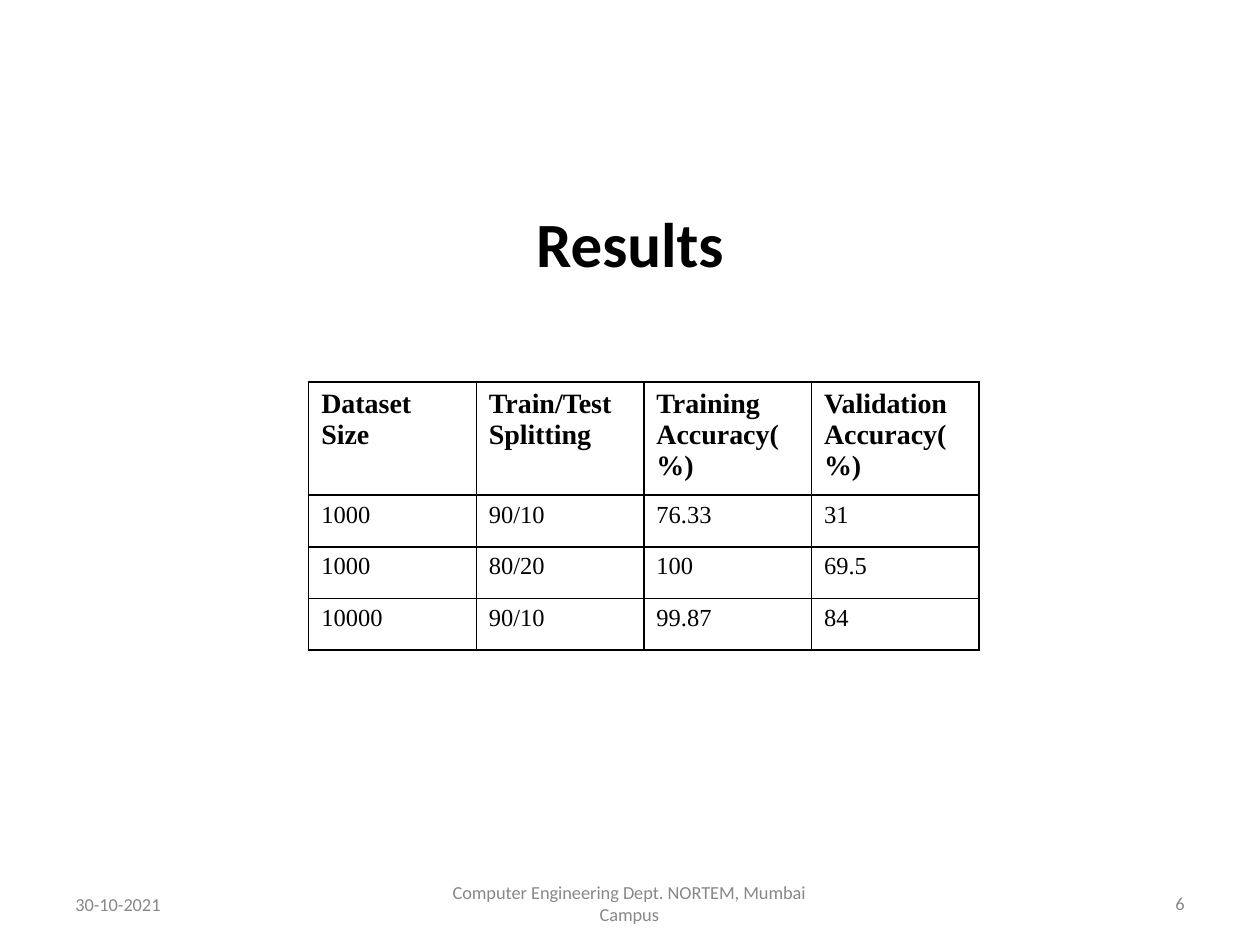
from dataclasses import dataclass

from lxml.etree import SubElement
from pptx import Presentation
from pptx.dml.color import RGBColor
from pptx.enum.text import MSO_ANCHOR as Anchor, PP_ALIGN as Align
from pptx.oxml.ns import qn
from pptx.util import Inches, Pt


@dataclass(frozen=True)
class Theme:
    """Colours, fonts and type sizes of the slide."""

    ink: str = "000000"
    muted: str = "888888"
    heading_font: str = "Calibri"
    table_font: str = "Times New Roman"
    title_size: float = 36
    header_size: float = 16
    cell_size: float = 14
    footer_size: float = 10.5
    border_width: float = 1


class SlideBuilder:
    """Adds styled elements to one slide."""

    def __init__(self, slide, theme):
        self.slide = slide
        self.theme = theme

    def set_text(self, text_frame, text, font, size, color, bold=False, align=Align.LEFT):
        """Set the text of a frame and format its runs."""
        text_frame.text = text
        for paragraph in text_frame.paragraphs:
            paragraph.alignment = align
            for run in paragraph.runs:
                run.font.name = font
                run.font.size = Pt(size)
                run.font.bold = bold
                run.font.color.rgb = RGBColor.from_string(color)

    def place_frame(self, text_frame, vertical_margin):
        """Give a text frame its margins, wrapping and middle anchor."""
        text_frame.word_wrap = True
        text_frame.vertical_anchor = Anchor.MIDDLE
        text_frame.margin_left = text_frame.margin_right = Inches(0.1)
        text_frame.margin_top = text_frame.margin_bottom = Inches(vertical_margin)

    def title(self, text, left, top, width, height):
        """Move and fill the title placeholder."""
        shape = self.slide.shapes.title
        shape.left, shape.top = Inches(left), Inches(top)
        shape.width, shape.height = Inches(width), Inches(height)
        self.place_frame(shape.text_frame, 0.1)
        self.set_text(shape.text_frame, text, self.theme.heading_font,
                      self.theme.title_size, self.theme.ink, True, Align.CENTER)

    def footer(self, text, left, top, width, align, vertical_margin=0.1):
        """Add one muted text box of the footer line."""
        shape = self.slide.shapes.add_textbox(
            Inches(left), Inches(top), Inches(width), Inches(0.4))
        self.place_frame(shape.text_frame, vertical_margin)
        self.set_text(shape.text_frame, text, self.theme.heading_font,
                      self.theme.footer_size, self.theme.muted, align=align)

    def border(self, cell):
        """Draw a solid line on all four sides of a cell."""
        properties = cell._tc.get_or_add_tcPr()
        for position, side in enumerate(("lnL", "lnR", "lnT", "lnB")):
            line = properties.makeelement(
                qn(f"a:{side}"), {"w": str(Pt(self.theme.border_width))})
            fill = SubElement(line, qn("a:solidFill"))
            SubElement(fill, qn("a:srgbClr"), val=self.theme.ink)
            properties.insert(position, line)

    def table(self, rows, left, top, column_width, row_heights):
        """Add a bordered table with a bold first row."""
        columns = len(rows[0])
        table = self.slide.shapes.add_table(
            len(rows), columns, Inches(left), Inches(top),
            Inches(column_width * columns), Inches(sum(row_heights))).table
        table.first_row = table.horz_banding = False
        for column in table.columns:
            column.width = Inches(column_width)
        for row_index, values in enumerate(rows):
            table.rows[row_index].height = Inches(row_heights[row_index])
            is_header = row_index == 0
            size = self.theme.header_size if is_header else self.theme.cell_size
            for column_index, value in enumerate(values):
                cell = table.cell(row_index, column_index)
                cell.fill.background()
                self.set_text(cell.text_frame, value, self.theme.table_font,
                              size, self.theme.ink, is_header)
                self.border(cell)


def main():
    """Build and save the results slide."""
    presentation = Presentation()
    presentation.slide_width, presentation.slide_height = Inches(10), Inches(7.5)
    slide = presentation.slides.add_slide(presentation.slide_layouts[5])
    builder = SlideBuilder(slide, Theme())

    builder.title("Results", 0.5, 1.42, 9, 1)
    builder.footer("30-10-2021", 0.5, 6.98, 2.33, Align.LEFT)
    builder.footer("Computer Engineering Dept. NORTEM, Mumbai Campus",
                   3.41, 6.97, 3.17, Align.CENTER)
    builder.footer("6", 7.17, 6.97, 2.33, Align.RIGHT, 0.05)

    results = [
        ("Dataset Size", "Train/Test Splitting",
         "Training Accuracy(%)", "Validation Accuracy(%)"),
        ("1000", "90/10", "76.33", "31"),
        ("1000", "80/20", "100", "69.5"),
        ("10000", "90/10", "99.87", "84"),
    ]
    builder.table(results, 2.45, 3.03, 1.33, [0.45, 0.41, 0.41, 0.41])
    presentation.save("out.pptx")


if __name__ == "__main__":
    main()
